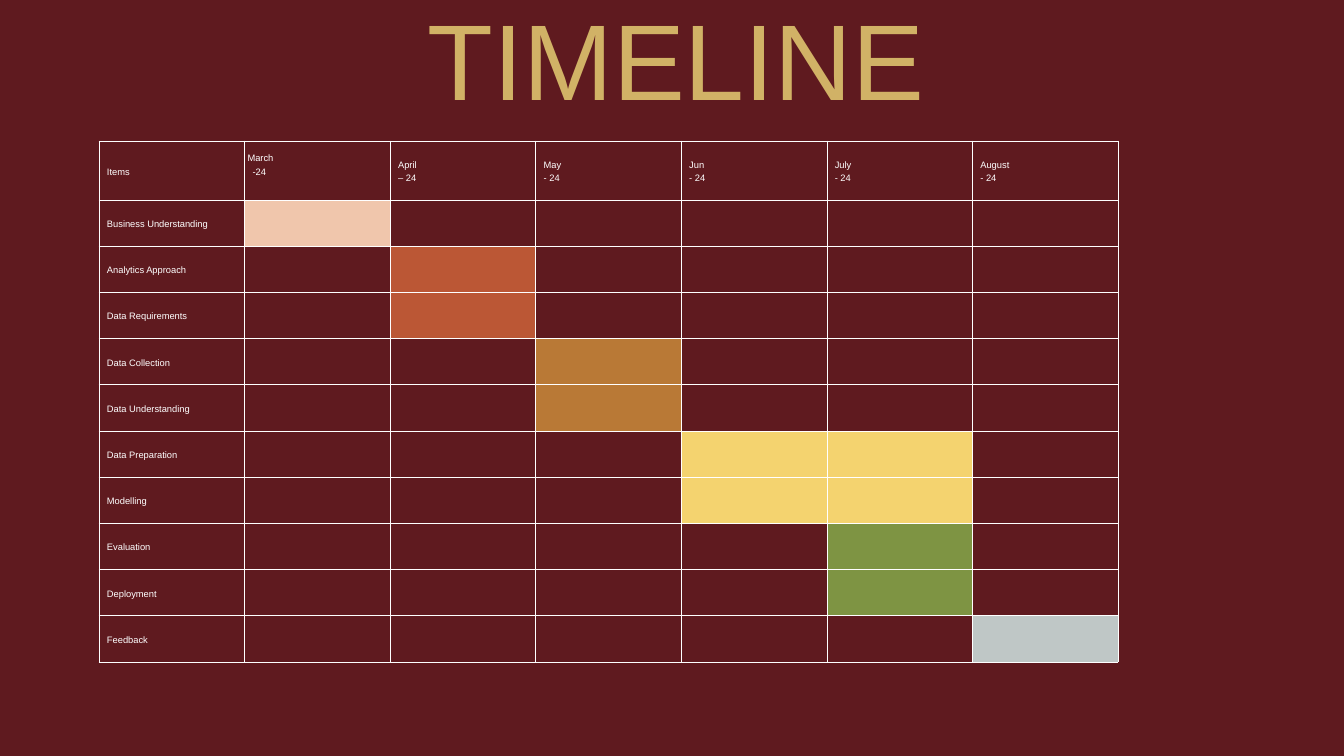
from pptx import Presentation
from pptx.dml.color import RGBColor
from pptx.enum.text import MSO_ANCHOR
from pptx.oxml import parse_xml
from pptx.oxml.ns import nsdecls
from pptx.util import Pt

PX = 914400 / 67.2
FONT = "Arial"
COLORS = {
    "background": "5F1A1F", "title": "D1B266", "text": "FFFFFF", "border": "FFFFFF",
    "peach": "F0C6AC", "rust": "BB5735", "ochre": "B97936",
    "yellow": "F4D36F", "green": "7E9443", "grey": "BFC7C6",
}

TITLE = "TIMELINE"
HEADERS = ["Items", "March\n-24", "April\n– 24", "May\n- 24",
           "Jun\n- 24", "July\n- 24", "August\n- 24"]
# Task, months it spans (column numbers), bar colour
TASKS = [
    ("Business Understanding", [1], "peach"),
    ("Analytics Approach", [2], "rust"),
    ("Data Requirements", [2], "rust"),
    ("Data Collection", [3], "ochre"),
    ("Data Understanding", [3], "ochre"),
    ("Data Preparation", [4, 5], "yellow"),
    ("Modelling", [4, 5], "yellow"),
    ("Evaluation", [5], "green"),
    ("Deployment", [5], "green"),
    ("Feedback", [6], "grey"),
]

SLIDE_W, SLIDE_H = 1344, 756
TITLE_BOX = (398, 27, 946, 114)
TITLE_INDENT = 30
TABLE_X, TABLE_Y, TABLE_W, TABLE_H = 99, 141, 1019, 521
HEADER_H = 59
CELL_MARGINS = {"margin_left": 8, "margin_right": 3, "margin_top": 3, "margin_bottom": 3}
MARCH_MARGINS = {"margin_left": 3, "margin_bottom": 16}
MARCH_INDENT = 5


def px(n):
    return round(n * PX)


def rgb(name):
    return RGBColor.from_string(COLORS[name])


def style_paragraph(p, size, color, spacing):
    p.line_spacing = Pt(spacing)
    p.font.name, p.font.size = FONT, Pt(size)
    p.font.color.rgb = rgb(color)


def set_margins(target, margins):
    for name, value in margins.items():
        setattr(target, name, px(value))


def add_borders(cell):
    tc_pr = cell._tc.get_or_add_tcPr()
    for side in ("lnL", "lnR", "lnT", "lnB"):
        tc_pr.append(parse_xml(
            f'<a:{side} {nsdecls("a")} w="{Pt(0.67)}"><a:solidFill>'
            f'<a:srgbClr val="{COLORS["border"]}"/></a:solidFill></a:{side}>'))


def format_cell(cell, text="", fill=None):
    add_borders(cell)
    if fill:
        cell.fill.solid()
        cell.fill.fore_color.rgb = rgb(fill)
    else:
        cell.fill.background()
    cell.vertical_anchor = MSO_ANCHOR.MIDDLE
    set_margins(cell, CELL_MARGINS)
    cell.text = text
    for p in cell.text_frame.paragraphs:
        style_paragraph(p, 10, "text", 14)


def add_title(slide):
    tf = slide.shapes.add_textbox(*map(px, TITLE_BOX)).text_frame
    tf.word_wrap = True
    set_margins(tf, {"margin_left": TITLE_INDENT, "margin_right": 0,
                     "margin_top": 0, "margin_bottom": 0})
    tf.text = TITLE
    style_paragraph(tf.paragraphs[0], 115.3, "title", 101.5)


def add_schedule(slide):
    table = slide.shapes.add_table(
        len(TASKS) + 1, len(HEADERS),
        *map(px, (TABLE_X, TABLE_Y, TABLE_W, TABLE_H))).table
    table.first_row = table.horz_banding = False
    for column in table.columns:
        column.width = px(TABLE_W / len(HEADERS))
    for i, row in enumerate(table.rows):
        row.height = px((TABLE_H - HEADER_H) / len(TASKS) if i else HEADER_H)

    for c, header in enumerate(HEADERS):
        format_cell(table.cell(0, c), header)
    for r, (task, months, color) in enumerate(TASKS, 1):
        format_cell(table.cell(r, 0), task)
        for c in range(1, len(HEADERS)):
            format_cell(table.cell(r, c), fill=color if c in months else None)

    march = table.cell(0, 1)
    set_margins(march, MARCH_MARGINS)
    march.text_frame.paragraphs[1]._p.get_or_add_pPr().set("marL", str(px(MARCH_INDENT)))


def main():
    prs = Presentation()
    prs.slide_width, prs.slide_height = px(SLIDE_W), px(SLIDE_H)
    slide = prs.slides.add_slide(prs.slide_layouts[6])
    slide.background.fill.solid()
    slide.background.fill.fore_color.rgb = rgb("background")
    add_schedule(slide)
    add_title(slide)
    prs.save("out.pptx")


if __name__ == "__main__":
    main()
